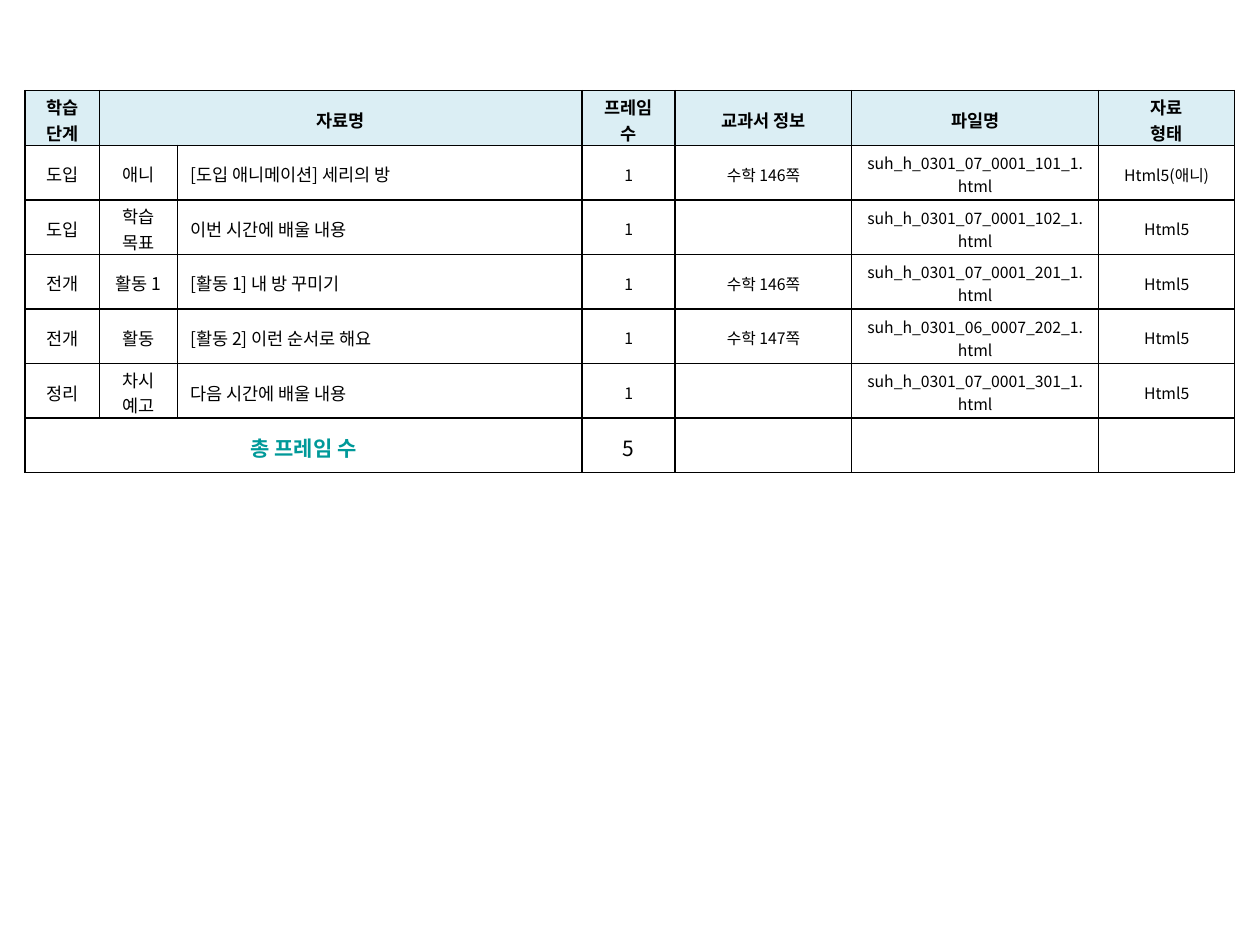
from lxml.etree import SubElement
from pptx import Presentation
from pptx.dml.color import RGBColor
from pptx.enum.text import MSO_ANCHOR as Anchor, PP_ALIGN as Align
from pptx.oxml.ns import qn
from pptx.util import Inches, Pt

FONT = "Noto Sans CJK KR"
COLORS = {"text": "000000", "border": "000000", "header": "DBEEF4", "total": "009999"}
COLUMN_WIDTHS = [0.59, 0.62, 3.21, 0.74, 1.4, 1.96, 1.08]
TABLE_HEIGHT = 3.03
TITLE_COLUMN = 2
ROWS = [
    ["학습 단계", "자료명", "", "프레임 수", "교과서 정보", "파일명", "자료\n형태"],
    ["도입", "애니", "[도입 애니메이션] 세리의 방", "1", "수학 146쪽",
     "suh_h_0301_07_0001_101_1.html", "Html5(애니)"],
    ["도입", "학습 목표", "이번 시간에 배울 내용", "1", "",
     "suh_h_0301_07_0001_102_1.html", "Html5"],
    ["전개", "활동 1", "[활동 1] 내 방 꾸미기", "1", "수학 146쪽",
     "suh_h_0301_07_0001_201_1.html", "Html5"],
    ["전개", "활동", "[활동 2] 이런 순서로 해요", "1", "수학 147쪽",
     "suh_h_0301_06_0007_202_1.html", "Html5"],
    ["정리", "차시 예고", "다음 시간에 배울 내용", "1", "",
     "suh_h_0301_07_0001_301_1.html", "Html5"],
    ["총 프레임 수", "", "", "5", "", "", ""],
]
LAST_ROW = len(ROWS) - 1


def set_borders(cell):
    properties = cell._tc.get_or_add_tcPr()
    for index, side in enumerate(("a:lnL", "a:lnR", "a:lnT", "a:lnB")):
        line = SubElement(properties, qn(side), w=str(Pt(1)))
        fill = SubElement(line, qn("a:solidFill"))
        SubElement(fill, qn("a:srgbClr"), val=COLORS["border"])
        properties.insert(index, line)


def set_text(cell, text, size, color, bold, alignment):
    cell.text_frame.text = text
    for paragraph in cell.text_frame.paragraphs:
        paragraph.alignment = alignment
        for run in paragraph.runs:
            run.font.name = FONT
            run.font.size = Pt(size)
            run.font.bold = bold
            run.font.color.rgb = RGBColor.from_string(COLORS[color])
            SubElement(run.font._element, qn("a:ea"), typeface=FONT)


def format_cell(cell, row, column, text):
    header, total = row == 0, row == LAST_ROW
    total_label = total and column == 0
    cell.vertical_anchor = Anchor.MIDDLE
    cell.margin_left = cell.margin_right = Inches(0.1)
    cell.margin_top, cell.margin_bottom = Inches(0.03), 0
    if header:
        cell.fill.solid()
        cell.fill.fore_color.rgb = RGBColor.from_string(COLORS["header"])
    else:
        cell.fill.background()
    set_borders(cell)
    if total:
        size = 12
    else:
        size = 10 if header or column <= TITLE_COLUMN else 9
    left = column == TITLE_COLUMN and not header and not total
    set_text(cell, text, size, "total" if total_label else "text",
             header or total_label, Align.LEFT if left else Align.CENTER)


def add_lesson_table(slide):
    frame = slide.shapes.add_table(
        len(ROWS), len(COLUMN_WIDTHS),
        Inches(0.2), Inches(0.72), Inches(sum(COLUMN_WIDTHS)), Inches(TABLE_HEIGHT))
    table = frame.table
    table.first_row = table.horz_banding = False
    for column, width in zip(table.columns, COLUMN_WIDTHS):
        column.width = Inches(width)
    for row in table.rows:
        row.height = Inches(TABLE_HEIGHT / len(ROWS))
    for row, texts in enumerate(ROWS):
        for column, text in enumerate(texts):
            format_cell(table.cell(row, column), row, column, text)
    table.cell(0, 1).merge(table.cell(0, TITLE_COLUMN))
    table.cell(LAST_ROW, 0).merge(table.cell(LAST_ROW, TITLE_COLUMN))


def main():
    presentation = Presentation()
    presentation.slide_width, presentation.slide_height = Inches(10), Inches(7.5)
    slide = presentation.slides.add_slide(presentation.slide_layouts[6])
    add_lesson_table(slide)
    presentation.save("out.pptx")


if __name__ == "__main__":
    main()
